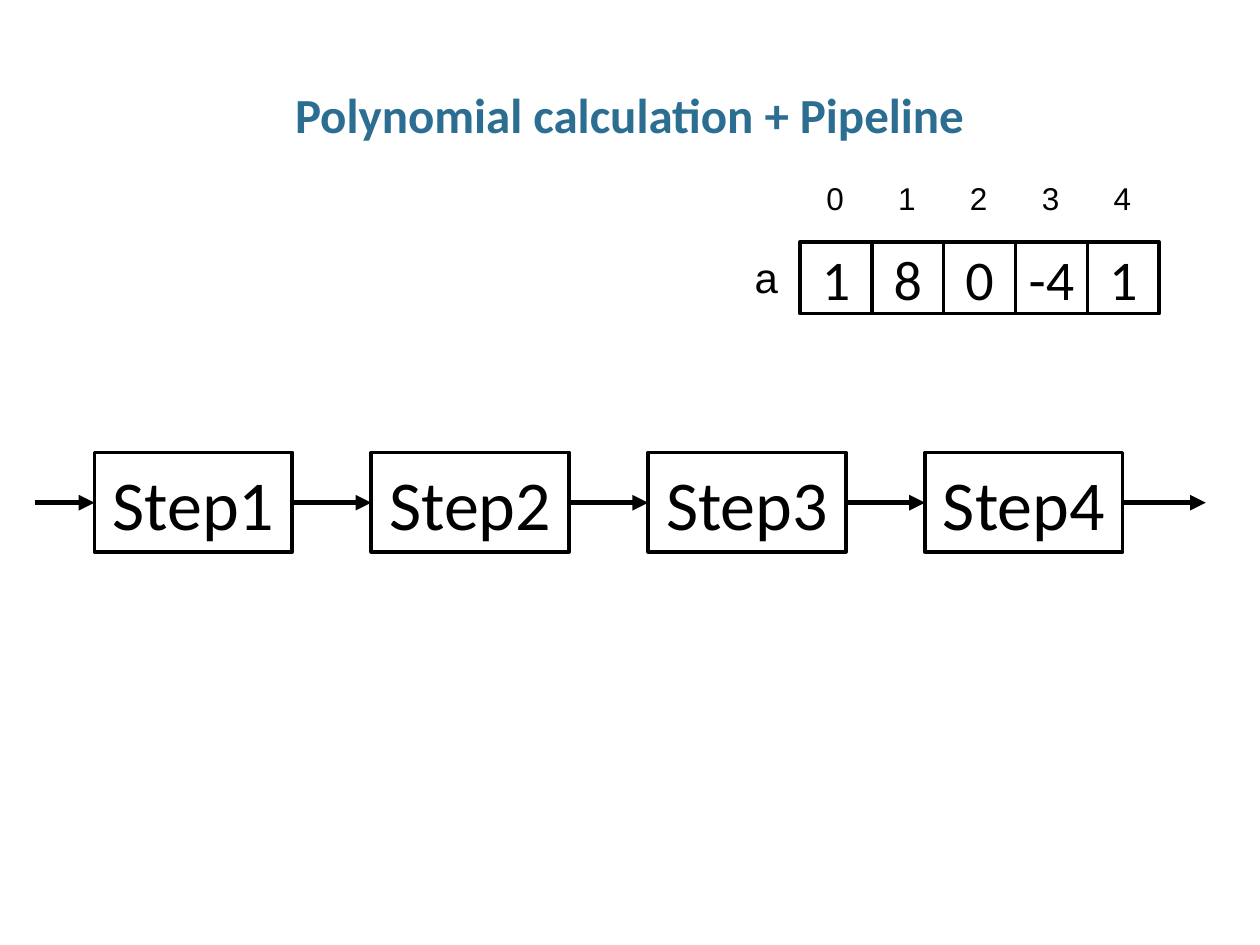
from pptx import Presentation
from pptx.dml.color import RGBColor as RGB
from pptx.enum.shapes import MSO_CONNECTOR as CONN, MSO_SHAPE as SHAPE
from pptx.enum.text import MSO_ANCHOR as ANCHOR, MSO_AUTO_SIZE as FIT, PP_ALIGN as ALIGN
from pptx.oxml.ns import qn
from pptx.util import Inches, Pt
from lxml import etree

COLORS = {"title": "2C6D92", "ink": "000000"}


def write(shape, text, size, font, color="ink", align=ALIGN.CENTER):
    tf = shape.text_frame
    tf.text = text
    tf.word_wrap = False
    p = tf.paragraphs[0]
    p.alignment = align
    f = p.runs[0].font
    f.name, f.size = font, Pt(size)
    f.color.rgb = RGB.from_string(COLORS[color])
    return tf


def box(x, y, w, h, text, size):
    sp = s.shapes.add_shape(SHAPE.RECTANGLE, Inches(x), Inches(y), Inches(w), Inches(h))
    sp.shadow.inherit = False
    sp.fill.background()
    sp.line.color.rgb = RGB.from_string(COLORS["ink"])
    sp.line.width = Pt(2)
    write(sp, text, size, "Calibri").vertical_anchor = ANCHOR.MIDDLE


prs = Presentation()
prs.slide_width, prs.slide_height = Inches(10), Inches(7.5)
s = prs.slides.add_slide(prs.slide_layouts[5])

# Title
title = s.shapes.title
title.left, title.top = Inches(0.34), Inches(0.68)
title.width, title.height = Inches(9.31), Inches(0.5)
tf = write(title, "Polynomial calculation + Pipeline", 28, "Calibri", "title")
tf.word_wrap = True
tf.auto_size = FIT.NONE
tf.vertical_anchor = ANCHOR.MIDDLE
tf.margin_left = tf.margin_right = 0
tf.paragraphs[0].line_spacing = 0.95
tf.paragraphs[0].runs[0].font.bold = True

# Pipeline steps
STEP_X, STEP_Y, STEP_W, STEP_H, PITCH = 0.75, 3.59, 1.57, 0.79, 2.197
starts = [STEP_X + i * PITCH for i in range(4)]
for i, x in enumerate(starts, 1):
    box(x, STEP_Y, STEP_W, STEP_H, f"Step{i}", 40)

# Arrows into, between and out of the steps
y = Inches(3.99)
tails = [0.28] + [x + STEP_W for x in starts]
heads = starts + [9.57]
for x1, x2 in zip(tails, heads):
    arrow = s.shapes.add_connector(CONN.STRAIGHT, Inches(x1), y, Inches(x2), y)
    arrow.line.color.rgb = RGB.from_string(COLORS["ink"])
    arrow.line.width = Pt(3)
    etree.SubElement(arrow.line._get_or_add_ln(), qn("a:tailEnd"), type="triangle")
    etree.SubElement(arrow._element.spPr, qn("a:effectLst"))

# Coefficient array with an index above each cell
CELL = 0.57
labels = [("a", 5.89, 1.95, 0.39, 0.5, 24)]
for i, value in enumerate(["1", "8", "0", "-4", "1"]):
    x = 6.35 + i * CELL
    box(x, 1.92, CELL, CELL, value, 32)
    labels.append((str(i), x + 0.11, 1.37, 0.34, 0.4, 18))

for text, x, y, w, h, size in labels:
    tb = s.shapes.add_textbox(Inches(x), Inches(y), Inches(w), Inches(h))
    write(tb, text, size, "Arial", align=ALIGN.LEFT).auto_size = FIT.SHAPE_TO_FIT_TEXT

prs.save("out.pptx")
